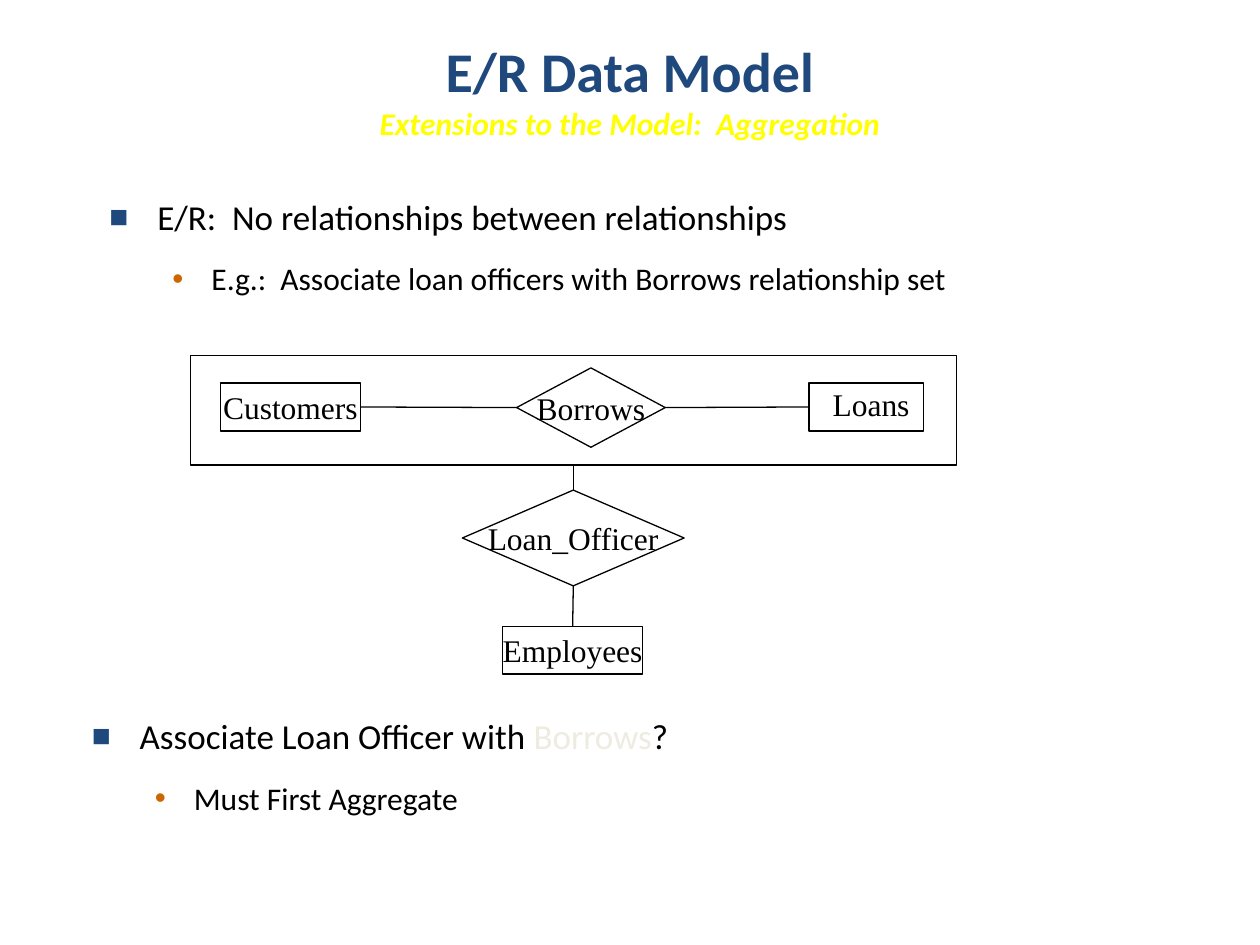
from lxml.etree import SubElement
from pptx import Presentation
from pptx.dml.color import RGBColor
from pptx.enum.shapes import MSO_CONNECTOR, MSO_SHAPE
from pptx.enum.text import MSO_ANCHOR, PP_ALIGN
from pptx.oxml.ns import qn
from pptx.util import Inches, Pt

COLORS = {
    "navy": "1F497D",
    "yellow": "FFFF00",
    "black": "000000",
    "orange": "CC6600",
    "pale": "EEECE1",
}
TOP, LEFT, BOTTOM, RIGHT = range(4)
LEVELS = [
    {"size": 20, "left": 0.38, "hang": 0.38, "mark": "■",
     "tint": "navy", "scale": 90, "space": 0, "lines": 1},
    {"size": 18, "left": 0.81, "hang": 0.31, "mark": "•",
     "tint": "orange", "scale": 100, "space": 6.3, "lines": 1.3},
]


def color(name):
    return RGBColor.from_string(COLORS[name])


def add_run(para, text, size, tint="black", face="Calibri", bold=None, slant=None):
    run = para.add_run()
    run.text = text
    font = run.font
    font.name, font.size, font.bold, font.italic = face, Pt(size), bold, slant
    font.color.rgb = color(tint)


def add_frame(slide, box, wrap=True):
    frame = slide.shapes.add_textbox(*map(Inches, box)).text_frame
    frame.word_wrap = wrap
    return frame


def add_title(slide, box):
    frame = add_frame(slide, box)
    frame.vertical_anchor = MSO_ANCHOR.MIDDLE
    para = frame.paragraphs[0]
    para.alignment = PP_ALIGN.CENTER
    add_run(para, "E/R Data Model", 32, "navy", bold=True)
    para.add_line_break()
    add_run(para, "Extensions to the Model:  Aggregation", 18, "yellow",
            bold=True, slant=True)


def set_bullet(para, style):
    props = para._p.get_or_add_pPr()
    props.set("marL", str(Inches(style["left"])))
    props.set("indent", str(-Inches(style["hang"])))
    tint = SubElement(props, qn("a:buClr"))
    SubElement(tint, qn("a:srgbClr"), val=COLORS[style["tint"]])
    SubElement(props, qn("a:buSzPct"), val=str(style["scale"] * 1000))
    SubElement(props, qn("a:buFont"), typeface="Arial")
    SubElement(props, qn("a:buChar"), char=style["mark"])


def add_points(slide, box, items):
    frame = add_frame(slide, box)
    for level, runs in enumerate(items):
        style = LEVELS[level]
        para = frame.add_paragraph() if level else frame.paragraphs[0]
        para.level = level
        para.line_spacing = style["lines"]
        para.space_before = Pt(style["space"])
        set_bullet(para, style)
        for text, tint in runs:
            add_run(para, text, style["size"], tint)


def add_node(slide, kind, box, label=None):
    node = slide.shapes.add_shape(kind, *map(Inches, box))
    node.shadow.inherit = False
    node.fill.background()
    node.line.color.rgb = color("black")
    node.line.width = Pt(0.75)
    if label:
        frame = node.text_frame
        frame.word_wrap = False
        frame.vertical_anchor = MSO_ANCHOR.MIDDLE
        para = frame.paragraphs[0]
        para.alignment = PP_ALIGN.CENTER
        add_run(para, label, 18, face="Times New Roman")
    return node


def add_link(slide, start, side, end, other):
    link = slide.shapes.add_connector(MSO_CONNECTOR.STRAIGHT, 0, 0, 0, 0)
    link.begin_connect(start, side)
    link.end_connect(end, other)
    link.line.color.rgb = color("black")
    link.line.width = Pt(0.75)
    SubElement(link._element.spPr, qn("a:effectLst"))


def add_diagram(slide, box):
    left, top, width, height = box
    mid = left + width / 2
    rect, diamond = MSO_SHAPE.RECTANGLE, MSO_SHAPE.DIAMOND
    group = add_node(slide, rect, box)
    buyer = add_node(slide, rect, (left + 0.24, top + 0.22, 1.11, 0.38), "Customers")
    loan = add_node(slide, rect, (left + 4.91, top + 0.22, 0.91, 0.38))
    name = add_frame(slide, (left + 5, top + 0.19, 0.82, 0.4), wrap=False)
    add_run(name.paragraphs[0], "Loans", 18, face="Times New Roman")
    borrow = add_node(slide, diamond, (left + 2.59, top + 0.1, 1.18, 0.63), "Borrows")
    officer = add_node(slide, diamond, (mid - 0.88, top + height + 0.2, 1.76, 0.76),
                       "Loan_Officer")
    staff = add_node(slide, rect, (mid - 0.56, top + height + 1.28, 1.11, 0.38),
                     "Employees")
    for ends in (
        (buyer, RIGHT, borrow, LEFT),
        (borrow, RIGHT, loan, LEFT),
        (group, BOTTOM, officer, TOP),
        (officer, BOTTOM, staff, TOP),
    ):
        add_link(slide, *ends)


def main():
    deck = Presentation()
    deck.slide_width, deck.slide_height = Inches(10), Inches(7.5)
    slide = deck.slides.add_slide(deck.slide_layouts[6])
    add_title(slide, (0, 0.08, 10, 1.25))
    add_points(slide, (0.77, 1.5, 8.91, 0.66), [
        [("E/R:  No relationships between relationships", "black")],
        [("E.g.:  Associate loan officers with Borrows relationship set", "black")],
    ])
    add_diagram(slide, (1.51, 2.82, 6.08, 0.87))
    add_points(slide, (0.63, 5.62, 9.28, 0.66), [
        [("Associate Loan Officer with ", "black"), ("Borrows", "pale"), ("?", "black")],
        [("Must First Aggregate", "black")],
    ])
    deck.save("out.pptx")


if __name__ == "__main__":
    main()
